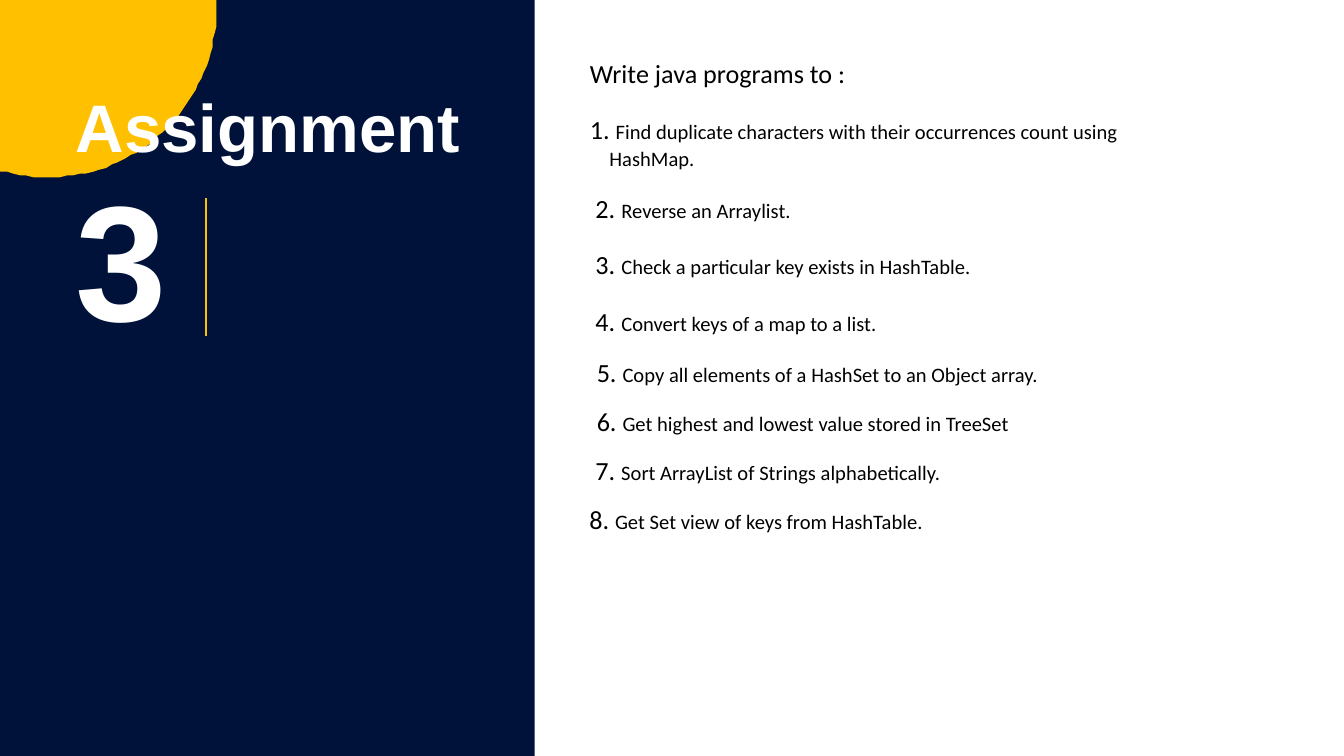
from math import cos, pi, sin

from lxml.etree import SubElement
from pptx import Presentation
from pptx.dml.color import RGBColor
from pptx.enum.shapes import MSO_CONNECTOR, MSO_SHAPE
from pptx.enum.text import MSO_ANCHOR, MSO_AUTO_SIZE, PP_ALIGN
from pptx.oxml.ns import qn
from pptx.util import Pt

NAVY = RGBColor(0x00, 0x12, 0x39)
AMBER = RGBColor(0xFF, 0xC0, 0x00)
WHITE = RGBColor(0xFF, 0xFF, 0xFF)
BLACK = RGBColor(0x00, 0x00, 0x00)

HEADING_FONT, BODY_FONT = "Arial", "Calibri"
NUMBER_SIZE, TASK_SIZE = 14, 11
TASK_LINE = 14.8
TASK_PITCH = 26.1

MIDDLE_TASKS = ["Reverse an Arraylist.",
                "Check a particular key exists in HashTable.",
                "Convert keys of a map to a list."]
LAST_TASKS = [("Copy all elements of a HashSet to an Object array.", 18),
              ("Get highest and lowest value stored in TreeSet", 18),
              ("Sort ArrayList of Strings alphabetically.", 17.3),
              ("Get Set view of keys from HashTable.", 14)]


class AssignmentSlide:
    """Holds the slide and draws its elements, with all lengths in points."""

    def __init__(self, slide):
        self.slide = slide
        self.shapes = slide.shapes

    def paint(self, shape, color):
        shape.shadow.inherit = False
        shape.fill.solid()
        shape.fill.fore_color.rgb = color
        shape.line.fill.background()

    def panel(self, width, height, color):
        self.paint(self.shapes.add_shape(MSO_SHAPE.RECTANGLE, 0, 0, Pt(width), Pt(height)), color)

    def corner_disc(self, center_x, center_y, radius, color, steps=48):
        start = -center_y / radius
        end = pi / 2 + center_x / radius
        angles = [start + (end - start) * step / steps for step in range(steps + 1)]
        arc = [(max(0, center_x + radius * cos(angle)), max(0, center_y + radius * sin(angle)))
               for angle in angles]
        builder = self.shapes.build_freeform(0, 0, scale=Pt(1))
        builder.add_line_segments(arc[::-1], close=True)
        self.paint(builder.convert_to_shape(), color)

    def divider(self, x, top, bottom, color):
        divider = self.shapes.add_connector(MSO_CONNECTOR.STRAIGHT, Pt(x), Pt(top), Pt(x), Pt(bottom))
        divider.line.color.rgb = color
        divider.line.width = Pt(1)
        SubElement(divider.element.spPr, qn("a:effectLst"))

    def frame(self, shape):
        frame = shape.text_frame
        frame.word_wrap = True
        frame.auto_size = MSO_AUTO_SIZE.NONE
        frame.vertical_anchor = MSO_ANCHOR.TOP
        frame.margin_left = frame.margin_top = frame.margin_right = frame.margin_bottom = 0
        return frame

    def box(self, left, top, width, height):
        return self.frame(self.shapes.add_textbox(Pt(left), Pt(top), Pt(width), Pt(height)))

    def style(self, paragraph, font, size, color, bold=False):
        paragraph.alignment = PP_ALIGN.LEFT
        paragraph.font.name = font
        paragraph.font.size = Pt(size)
        paragraph.font.color.rgb = color
        paragraph.font.bold = bold

    def title(self, text, left, top, width, height, size):
        title = self.shapes.title
        title.left, title.top, title.width, title.height = Pt(left), Pt(top), Pt(width), Pt(height)
        title.element.getparent().append(title.element)
        heading = self.frame(title).paragraphs[0]
        heading.text = text
        self.style(heading, HEADING_FONT, size, WHITE, bold=True)

    def text(self, text, left, top, width, height, font, size, color, bold=False):
        line = self.box(left, top, width, height).paragraphs[0]
        line.text = text
        self.style(line, font, size, color, bold)

    def task(self, number, text, left, top, width, height, line=TASK_LINE, hang=0):
        task = self.box(left, top, width, height).paragraphs[0]
        properties = task._p.get_or_add_pPr()
        properties.set("marL", str(Pt(hang)))
        properties.set("indent", str(-Pt(hang)))
        task.line_spacing = Pt(line)
        self.style(task, BODY_FONT, TASK_SIZE, BLACK)
        task.add_run().text = f"{number}. "
        task.runs[0].font.size = Pt(NUMBER_SIZE)
        task.add_run().text = text

    def task_list(self, tasks, first_number, left, top, width, height):
        frame = self.box(left, top, width, height)
        for index, (text, margin) in enumerate(tasks):
            task = frame.add_paragraph() if index else frame.paragraphs[0]
            task.text = text
            task.line_spacing = Pt(TASK_LINE)
            if index:
                task.space_before = Pt(TASK_PITCH - TASK_LINE)
            properties = task._p.get_or_add_pPr()
            properties.set("marL", str(Pt(margin)))
            properties.set("indent", str(-Pt(13.8)))
            SubElement(properties, qn("a:buSzPct"), val="127000")
            SubElement(properties, qn("a:buAutoNum"), type="arabicPeriod", startAt=str(first_number))
            self.style(task, BODY_FONT, TASK_SIZE, BLACK)


def main():
    deck = Presentation()
    deck.slide_width, deck.slide_height = Pt(720), Pt(405)
    page = AssignmentSlide(deck.slides.add_slide(deck.slide_layouts[5]))

    page.panel(286.5, 405, NAVY)
    page.corner_disc(25.4, 4.4, 90.7, AMBER)
    page.title("Assignment", 40.5, 45.5, 210, 45, 36)
    page.text("3", 40.5, 84.5, 51, 107, HEADING_FONT, 88, WHITE, bold=True)
    page.divider(110.3, 106, 180, AMBER)

    page.text("Write java programs to :", 316, 30.5, 139, 19, BODY_FONT, 14, BLACK)
    page.task(1, "Find duplicate characters with their occurrences count using HashMap.",
              316, 63.5, 288, 30, line=14, hang=10.5)
    for index, text in enumerate(MIDDLE_TASKS):
        page.task(index + 2, text, 319, 105.2 + 30.1 * index, 204, 15)
    page.task_list(LAST_TASKS, 5, 315.5, 192.5, 242, 109)

    deck.save("out.pptx")


if __name__ == "__main__":
    main()
